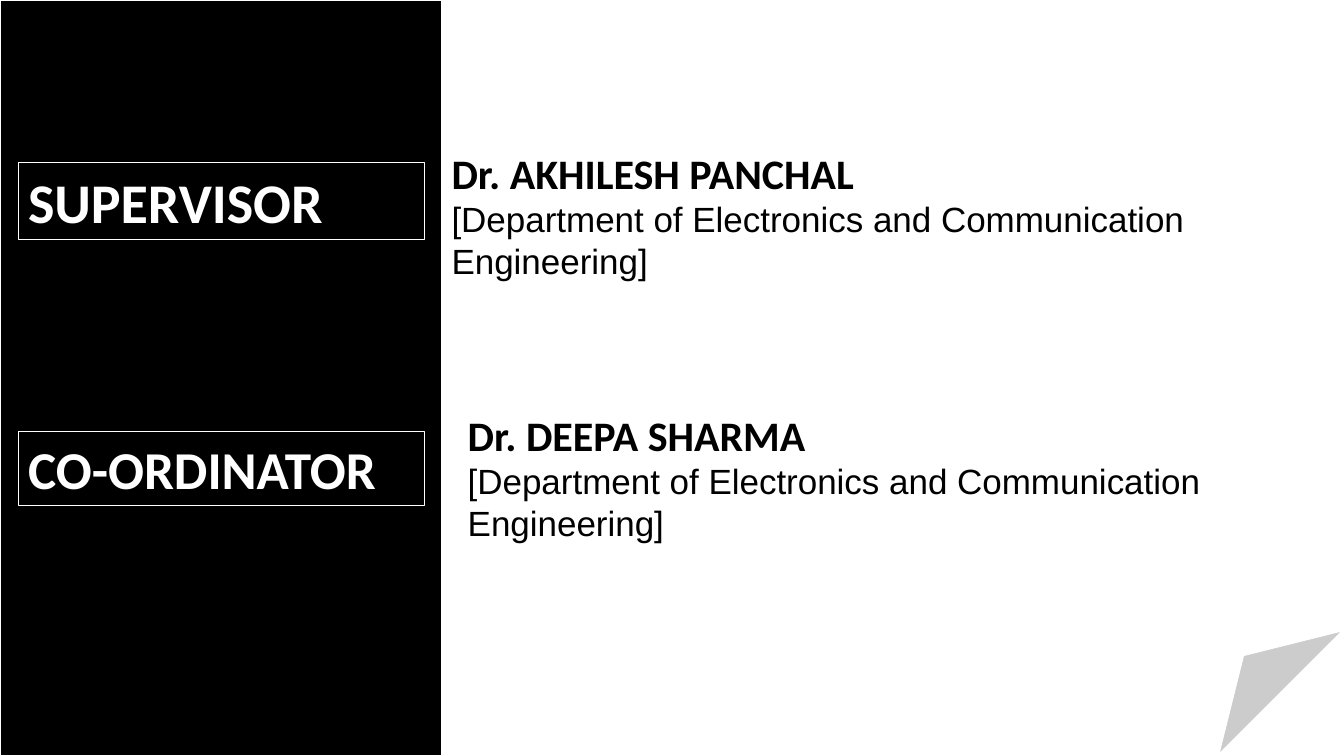
from pptx import Presentation
from pptx.dml.color import RGBColor
from pptx.enum import shapes, text
from pptx.util import Inches, Pt

BLACK, WHITE = "000000", "FFFFFF"
DEPARTMENT = "[Department of Electronics and Communication Engineering]"


def color(value):
    return RGBColor.from_string(value)


def add_panel(slide, box, fill=None, line_width=0.75,
              kind=shapes.MSO_SHAPE.RECTANGLE):
    """Add a white-outlined shape, unfilled unless a fill is given."""
    shape = slide.shapes.add_shape(kind, *map(Inches, box))
    shape.shadow.inherit = False
    if fill:
        shape.fill.solid()
        shape.fill.fore_color.rgb = color(fill)
    else:
        shape.fill.background()
    shape.line.color.rgb = color(WHITE)
    shape.line.width = Pt(line_width)
    return shape


def write_lines(shape, lines, ink):
    """Write one paragraph per (wording, font, size, bold) line."""
    frame = shape.text_frame
    frame.word_wrap = True
    frame.auto_size = text.MSO_AUTO_SIZE.SHAPE_TO_FIT_TEXT
    frame.vertical_anchor = text.MSO_ANCHOR.TOP
    for index, (wording, font, size, bold) in enumerate(lines):
        paragraph = frame.add_paragraph() if index else frame.paragraphs[0]
        paragraph.text = wording
        paragraph.alignment = text.PP_ALIGN.LEFT
        paragraph.font.name = font
        paragraph.font.size = Pt(size)
        paragraph.font.bold = bold
        paragraph.font.color.rgb = color(ink)


def add_role(slide, role, top, height, size):
    label = add_panel(slide, (0.18, top, 4.03, height))
    write_lines(label, [(role, "Calibri", size, True)], WHITE)


def write_person(shape, name):
    write_lines(shape, [(name, "Calibri", 30, True),
                        (DEPARTMENT, "Arial", 25, False)], BLACK)


def main():
    presentation = Presentation()
    presentation.slide_width = Inches(13.33)
    presentation.slide_height = Inches(7.5)
    slide = presentation.slides.add_slide(presentation.slide_layouts[6])

    # Page with folded corner and black side panel
    add_panel(slide, (0, 0, 13.33, 7.5), WHITE, 1.5,
              shapes.MSO_SHAPE.FOLDED_CORNER)
    add_panel(slide, (0, 0, 4.38, 7.5), BLACK, 1.5)

    # Supervisor
    add_role(slide, "SUPERVISOR", 1.61, 0.77, 40)
    supervisor = add_panel(slide, (4.38, 1.41, 8.95, 1.45))
    write_person(supervisor, "Dr. AKHILESH PANCHAL")

    # Co-ordinator
    add_role(slide, "CO-ORDINATOR", 4.28, 0.74, 38)
    coordinator = slide.shapes.add_textbox(
        *map(Inches, (4.54, 4.01, 8.12, 1.95)))
    write_person(coordinator, "Dr. DEEPA SHARMA")

    presentation.save("out.pptx")


if __name__ == "__main__":
    main()
